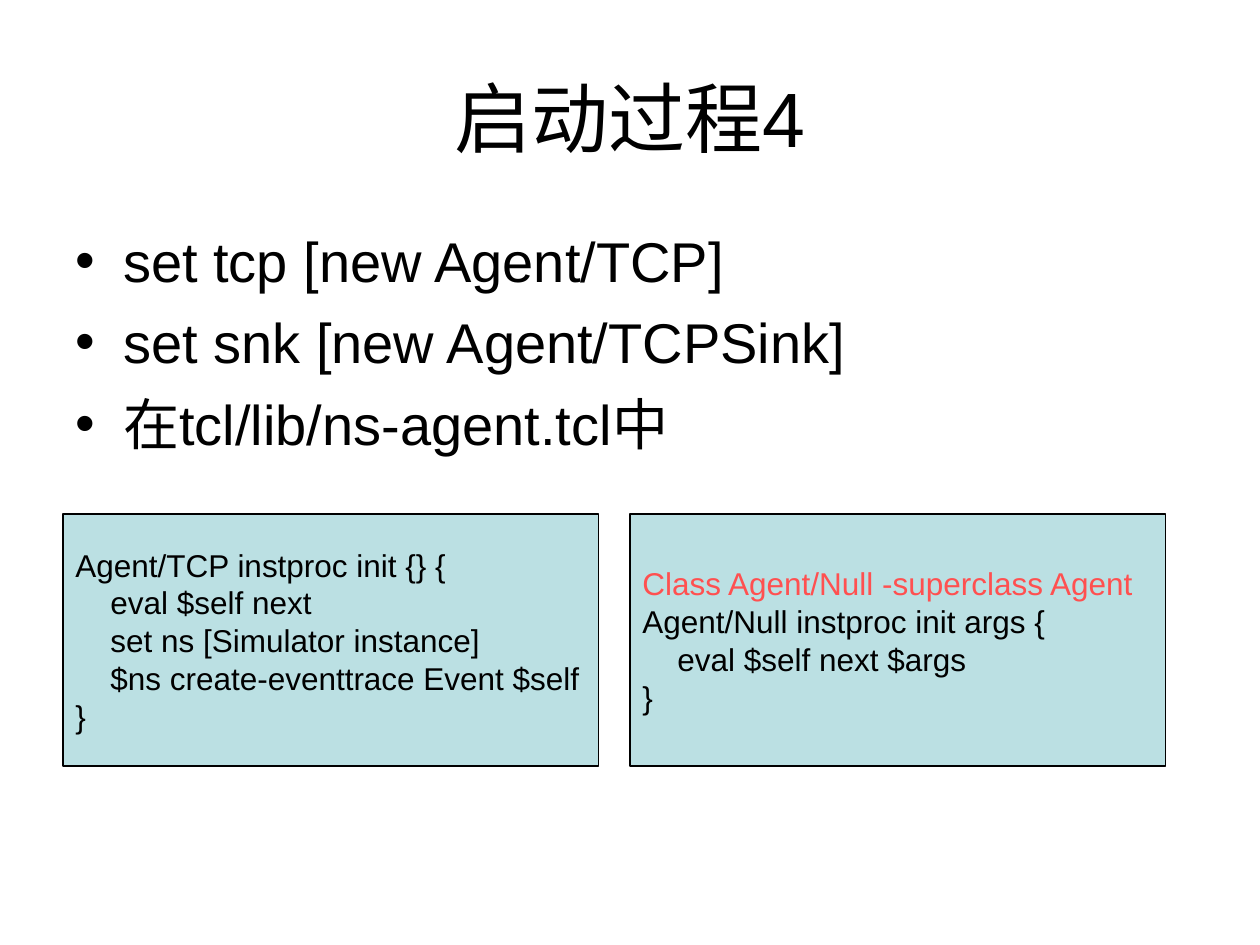
from lxml import etree
from pptx import Presentation
from pptx import util as u
from pptx.dml.color import RGBColor
from pptx.enum import shapes, text
from pptx.oxml.ns import qn

BLACK = RGBColor(0x00, 0x00, 0x00)
RED = RGBColor(0xFF, 0x50, 0x50)
PALE_TEAL = RGBColor(0xBB, 0xE0, 0xE3)

# Content
TITLE = "启动过程4"
BULLETS = [
    "set tcp [new Agent/TCP]",
    "set snk [new Agent/TCPSink]",
    "在tcl/lib/ns-agent.tcl中",
]
CODE_BOXES = [
    [
        ("Agent/TCP instproc init {} {", BLACK),
        ("    eval $self next", BLACK),
        ("    set ns [Simulator instance]", BLACK),
        ("    $ns create-eventtrace Event $self", BLACK),
        ("}", BLACK),
    ],
    [
        ("Class Agent/Null -superclass Agent", RED),
        ("Agent/Null instproc init args {", BLACK),
        ("    eval $self next $args", BLACK),
        ("}", BLACK),
    ],
]

# Layout in inches
MARGIN, CONTENT_WIDTH = 0.5, 9
BOX_TOP, BOX_WIDTH, BOX_HEIGHT, BOX_GAP = 4.08, 4.25, 2, 0.25
BULLET_INDENT = u.Inches(0.38)


def place(left, top, width, height):
    return [u.Inches(value) for value in (left, top, width, height)]


def write_lines(frame, lines, size, align):
    """Fill a text frame with (text, colour) lines and return its paragraphs."""
    for index, (line, color) in enumerate(lines):
        paragraph = frame.add_paragraph() if index else frame.paragraphs[0]
        paragraph.alignment = align
        run = paragraph.add_run()
        run.text = line
        for name, value in {"name": "Arial", "size": u.Pt(size)}.items():
            setattr(run.font, name, value)
        run.font.color.rgb = color
    return frame.paragraphs


presentation = Presentation()
presentation.slide_width, presentation.slide_height = u.Inches(10), u.Inches(7.5)
slide = presentation.slides.add_slide(presentation.slide_layouts[5])

# Title
title = slide.shapes.title
title.left, title.top, title.width, title.height = place(MARGIN, 0.3, CONTENT_WIDTH, 1.25)
title.text_frame.vertical_anchor = text.MSO_ANCHOR.MIDDLE
write_lines(title.text_frame, [(TITLE, BLACK)], 44, text.PP_ALIGN.CENTER)

# Bulleted commands
body = slide.shapes.add_textbox(*place(MARGIN, 1.75, CONTENT_WIDTH, 1.92))
body.text_frame.word_wrap = True
paragraphs = write_lines(
    body.text_frame, [(line, BLACK) for line in BULLETS], 32, text.PP_ALIGN.LEFT)
for index, paragraph in enumerate(paragraphs):
    if index:
        paragraph.space_before = u.Pt(8)
    properties = paragraph._p.get_or_add_pPr()
    properties.set("marL", str(BULLET_INDENT))
    properties.set("indent", str(-BULLET_INDENT))
    etree.SubElement(properties, qn("a:buFont"), typeface="Arial")
    etree.SubElement(properties, qn("a:buChar"), char="•")

# Code boxes side by side
for column, lines in enumerate(CODE_BOXES):
    left = MARGIN + column * (BOX_WIDTH + BOX_GAP)
    box = slide.shapes.add_shape(
        shapes.MSO_SHAPE.RECTANGLE, *place(left, BOX_TOP, BOX_WIDTH, BOX_HEIGHT))
    box.shadow.inherit = False
    box.fill.solid()
    box.fill.fore_color.rgb = PALE_TEAL
    box.line.color.rgb = BLACK
    box.line.width = u.Pt(0.75)
    box.text_frame.word_wrap = False
    box.text_frame.vertical_anchor = text.MSO_ANCHOR.MIDDLE
    write_lines(box.text_frame, lines, 18, text.PP_ALIGN.LEFT)

presentation.save("out.pptx")
